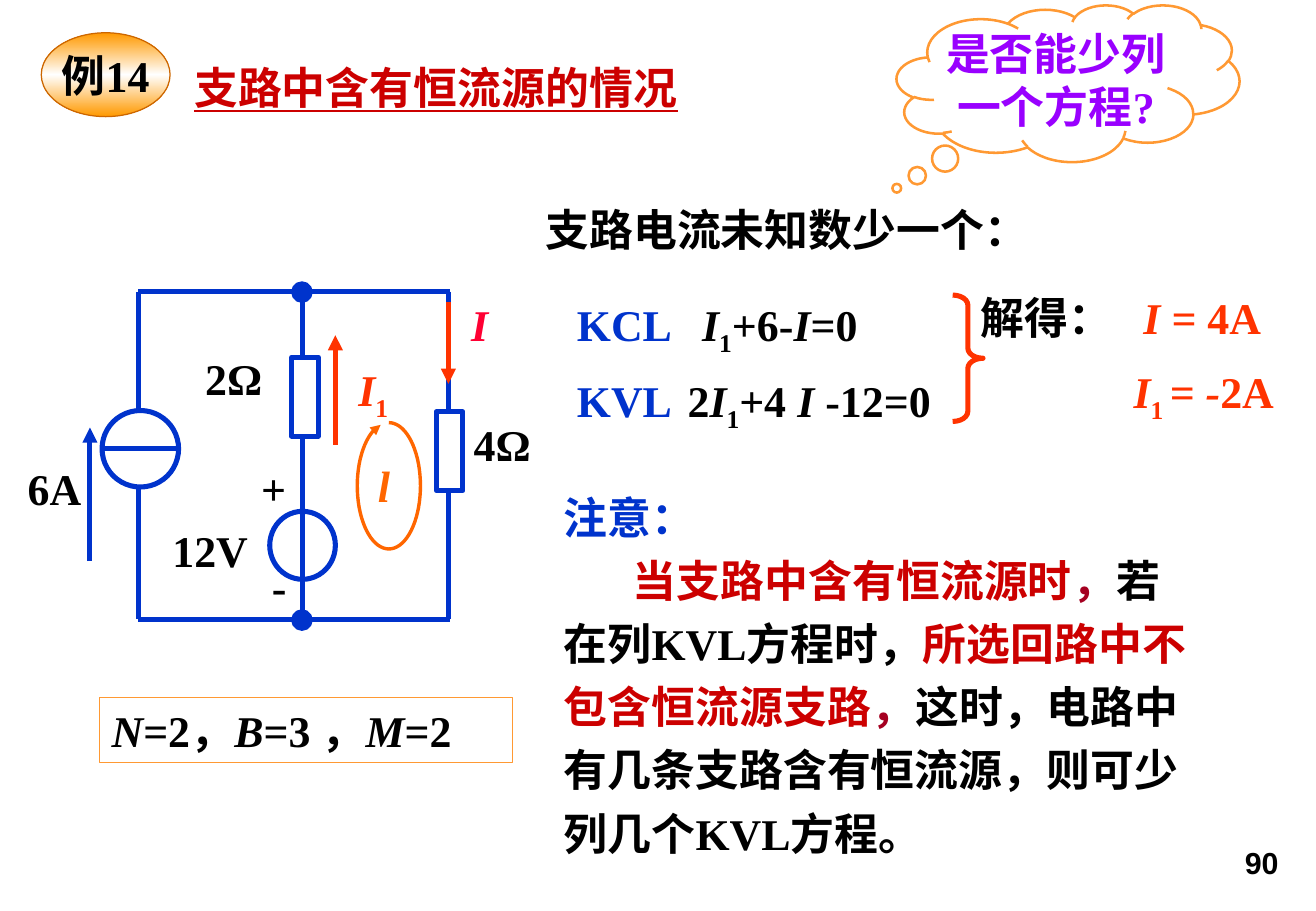
from copy import deepcopy
from math import cos, radians, sin

from lxml import etree
from pptx import Presentation
from pptx.dml.color import RGBColor
from pptx.enum.shapes import MSO_CONNECTOR, MSO_SHAPE
from pptx.enum.text import MSO_ANCHOR, PP_ALIGN
from pptx.oxml.ns import qn
from pptx.util import Inches, Pt

STRAIGHT = MSO_CONNECTOR.STRAIGHT
OVAL, RECT = MSO_SHAPE.OVAL, MSO_SHAPE.RECTANGLE
CLOUD, BRACE = MSO_SHAPE.CLOUD_CALLOUT, MSO_SHAPE.LEFT_BRACE
LEFT, CENTER, RIGHT = PP_ALIGN.LEFT, PP_ALIGN.CENTER, PP_ALIGN.RIGHT
MIDDLE = MSO_ANCHOR.MIDDLE

BLACK = RGBColor(0x00, 0x00, 0x00)
WHITE = RGBColor(0xFF, 0xFF, 0xFF)
BLUE = RGBColor(0x00, 0x33, 0xCC)
RED = RGBColor(0xCC, 0x00, 0x00)
WINE = RGBColor(0xA5, 0x00, 0x21)
ROSE = RGBColor(0xFF, 0x00, 0x33)
VERMILION = RGBColor(0xFF, 0x33, 0x00)
LOOP_ORANGE = RGBColor(0xFF, 0x66, 0x00)
EDGE_ORANGE = RGBColor(0xFF, 0x99, 0x33)
BADGE_ORANGE = RGBColor(0xFF, 0x99, 0x00)
BADGE_EDGE = RGBColor(0xCC, 0x66, 0x00)
PURPLE = RGBColor(0x99, 0x00, 0xFF)


def write(paragraph, runs, color=BLACK, align=LEFT, font="Times New Roman", size=26):
    """Fill a paragraph with (text, style, colour) runs: i is italic, s is subscript."""
    paragraph.alignment = align
    paragraph.font.name, paragraph.font.size = font, Pt(size)
    paragraph.font.bold = True
    paragraph.font.color.rgb = color
    for text, style, run_color in runs:
        run = paragraph.add_run()
        run.text = text
        if "i" in style:
            run.font.italic = True
        if "s" in style:
            run._r.get_or_add_rPr().set("baseline", "-25000")
        if run_color:
            run.font.color.rgb = run_color


def plain(text):
    """Return a single unstyled run."""
    return [(text, "", None)]


def current(name, *rest):
    """Return runs for a current symbol with a subscript one, then the rest."""
    return [(name, "i", None), ("1", "s", None), *rest]


def add_text(slide, x, y, w, h, runs, color=BLACK, **options):
    """Add a one-paragraph text box and return its text frame."""
    frame = slide.shapes.add_textbox(Inches(x), Inches(y), Inches(w), Inches(h)).text_frame
    frame.word_wrap = True
    write(frame.paragraphs[0], runs, color, **options)
    return frame


def style_outline(shape, color, width, fill=None):
    """Give a shape its line and its fill, or no fill."""
    shape.shadow.inherit = False
    shape.line.color.rgb, shape.line.width = color, Pt(width)
    if fill is None:
        shape.fill.background()
    else:
        shape.fill.solid()
        shape.fill.fore_color.rgb = fill


def add_outline(slide, kind, x, y, w, h, color, width, fill=None):
    """Add a preset shape with a line and an optional fill."""
    shape = slide.shapes.add_shape(kind, Inches(x), Inches(y), Inches(w), Inches(h))
    style_outline(shape, color, width, fill)
    return shape


def add_arrowhead(shape):
    """Put a triangle at the end of a line."""
    etree.SubElement(shape.line._get_or_add_ln(), qn("a:tailEnd"), type="triangle")


def add_wire(slide, x1, y1, x2, y2, color=BLUE, arrow=False):
    """Add a straight wire or current arrow."""
    wire = slide.shapes.add_connector(STRAIGHT, Inches(x1), Inches(y1), Inches(x2), Inches(y2))
    wire.line.color.rgb, wire.line.width = color, Pt(3)
    if arrow:
        add_arrowhead(wire)
    etree.SubElement(wire._element.spPr, qn("a:effectLst"))


def add_loop(slide, cx, cy, rx, ry):
    """Draw the clockwise mesh loop, ending in an arrowhead short of its start."""
    points = [(Inches(cx + rx * sin(radians(a))), Inches(cy - ry * cos(radians(a))))
              for a in range(0, 346, 5)]
    builder = slide.shapes.build_freeform(*points[0])
    builder.add_line_segments(points[1:], close=False)
    loop = builder.convert_to_shape()
    style_outline(loop, LOOP_ORANGE, 2)
    add_arrowhead(loop)


def add_heading(slide, x, y):
    """Place the example badge and the underlined title."""
    badge = add_outline(slide, OVAL, x, y, 1.06, 0.69, BADGE_EDGE, 0.75)
    badge.fill.gradient()
    badge.fill.gradient_angle = 90
    for stop in badge.fill.gradient_stops:
        stop.color.rgb = BADGE_ORANGE
    stops = badge._element.spPr.find(".//" + qn("a:gsLst"))
    middle = deepcopy(stops[0])
    middle.set("pos", "50000")
    stops.insert(1, middle)
    badge.fill.gradient_stops[1].color.rgb = WHITE
    badge.text_frame.word_wrap, badge.text_frame.vertical_anchor = False, MIDDLE
    write(badge.text_frame.paragraphs[0], plain("例14"), align=CENTER)
    title = add_text(slide, x + 1.16, y - 0.04, 4.4, 0.67, plain("支路中含有恒流源的情况"), RED)
    title.paragraphs[0].line_spacing = 1.5
    title.paragraphs[0].font.underline = True


def add_question(slide, x, y):
    """Place the thought cloud with its question."""
    cloud = add_outline(slide, CLOUD, x, y, 2.82, 1.29, EDGE_ORANGE, 1.5)
    cloud.adjustments[0], cloud.adjustments[1] = -0.5, 0.67
    frame = cloud.text_frame
    frame.word_wrap, frame.vertical_anchor = False, MIDDLE
    write(frame.paragraphs[0], plain("是否能少列"), PURPLE, CENTER)
    write(frame.add_paragraph(), plain("一个方程?"), PURPLE, CENTER)


def add_circuit(slide, x, y):
    """Draw the circuit with its upper left corner at the given point."""
    middle, right, bottom = x + 1.35, x + 2.55, y + 2.7
    add_outline(slide, OVAL, middle - 0.27, y + 1.81, 0.54, 0.56, BLUE, 3, WHITE)
    for wire_x in (x, middle, right):
        add_wire(slide, wire_x, y, wire_x, bottom)
    for wire_y in (y, bottom):
        add_wire(slide, x, wire_y, right + 0.01, wire_y)
        add_outline(slide, OVAL, middle - 0.08, wire_y - 0.07, 0.15, 0.15, BLUE, 2, BLUE)
    for resistor_x, resistor_y in ((middle - 0.09, y + 0.54), (right - 0.1, y + 0.99)):
        add_outline(slide, RECT, resistor_x, resistor_y, 0.22, 0.65, BLUE, 3, WHITE)
    add_outline(slide, OVAL, x - 0.3, y + 0.98, 0.63, 0.63, BLUE, 3, WHITE)
    add_wire(slide, x - 0.3, y + 1.29, x + 0.33, y + 1.29)
    add_wire(slide, x - 0.4, y + 2.22, x - 0.4, y + 1.12, arrow=True)
    add_wire(slide, right, y + 0.09, right, y + 0.76, VERMILION, True)
    add_wire(slide, x + 1.62, y + 1.26, x + 1.62, y + 0.36, VERMILION, True)
    add_loop(slide, x + 2.06, y + 1.6, 0.26, 0.52)
    labels = [("6A", -1.01, 1.35, 0.66), ("12V", 0.18, 1.86, 0.85), ("+", 0.91, 1.35, 0.45),
              ("-", 1.0, 2.16, 0.36), ("2Ω", 0.45, 0.45, 0.9), ("4Ω", 2.66, 0.99, 0.9)]
    for label, dx, dy, width in labels:
        add_text(slide, x + dx, y + dy, width, 0.54, plain(label))
    add_text(slide, x + 2.64, y, 0.36, 0.54, [("I", "i", None)], ROSE)
    add_text(slide, x + 1.71, y + 0.54, 0.81, 0.54, current("I"), VERMILION)
    add_text(slide, x + 1.86, y + 1.33, 0.32, 0.55, [("l", "i", None)], LOOP_ORANGE, align=CENTER)


def add_counts(slide, x, y):
    """Place the framed node, branch and mesh counts on one line."""
    counts = add_outline(slide, RECT, x, y, 3.4, 0.54, EDGE_ORANGE, 0.75)
    counts.text_frame.word_wrap = True
    counts.text_frame.vertical_anchor = MIDDLE
    write(counts.text_frame.paragraphs[0],
          [("N", "i", None), ("=2，", "", None), ("B", "i", None), ("=3 ，", "", None),
           ("M", "i", None), ("=2", "", None)])


def add_equations(slide, x, y):
    """Place the lead-in, both laws, the brace and the solution."""
    lead = add_text(slide, x, y, 4.23, 0.67, plain("支路电流未知数少一个："))
    lead.paragraphs[0].line_spacing = 1.5
    kcl = current("I", ("+6-", "", None), ("I", "i", None), ("=0", "", None))
    kvl = [("2", "", None)] + current("I", ("+4 ", "", None), ("I", "i", None), (" -12=0", "", None))
    for law, equation, dx, dy in (("KCL", kcl, 1.29, 1.0), ("KVL", kvl, 1.17, 1.63)):
        add_text(slide, x + 0.26, y + dy, 1.17, 0.54, plain(law), BLUE)
        add_text(slide, x + dx, y + dy, 3.25, 0.54, equation)
    brace = add_outline(slide, BRACE, x + 3.45, y + 1.03, 0.25, 1.04, VERMILION, 3)
    brace.adjustments[0], brace.adjustments[1] = 0.33, 0.5
    brace._element.spPr.xfrm.set("flipH", "1")
    frame = slide.shapes.add_textbox(
        Inches(x + 3.58), Inches(y + 0.94), Inches(2.85), Inches(1.19)).text_frame
    frame.word_wrap = True
    first, second = frame.paragraphs[0], frame.add_paragraph()
    tabs = etree.SubElement(first._p.get_or_add_pPr(), qn("a:tabLst"))
    etree.SubElement(tabs, qn("a:tab"), pos=str(Inches(1.34)), algn="l")
    write(first, [("解得：\t", "", BLACK), ("I = ", "i", None), ("4A", "", None)], VERMILION)
    second._p.get_or_add_pPr().set("marL", str(Inches(1.26)))
    second.space_before = Pt(13)
    write(second, [("I", "i", None), ("1 ", "s", None), ("= -", "i", None), ("2A", "", None)],
          VERMILION)


def add_note(slide, x, y):
    """Place the remark about branches with a constant current source."""
    frame = add_text(slide, x, y, 5.42, 3.11, plain("注意："), BLUE)
    remark = frame.add_paragraph()
    remark._p.get_or_add_pPr().set("indent", str(Inches(0.57)))
    remark.line_spacing = 1.2
    write(remark, [("当支路中含有恒流源时", "", RED), ("，", "", WINE),
                   ("若在列KVL方程时，", "", None), ("所选回路中不包含恒流源支路", "", RED),
                   ("，", "", WINE),
                   ("这时，电路中有几条支路含有恒流源，则可少列几个KVL方程。", "", None)])


def main():
    """Build the slide and save it."""
    deck = Presentation()
    deck.slide_width, deck.slide_height = Inches(10.83), Inches(7.5)
    slide = deck.slides.add_slide(deck.slide_layouts[6])
    add_text(slide, 7.63, 6.9, 2.99, 0.4, plain("90"), align=RIGHT, font="Arial", size=18)
    add_question(slide, 7.38, 0.04)
    add_heading(slide, 0.34, 0.27)
    add_circuit(slide, 1.14, 2.4)
    add_counts(slide, 0.82, 5.74)
    add_equations(slide, 4.39, 1.4)
    add_note(slide, 4.54, 3.99)
    deck.save("out.pptx")


if __name__ == "__main__":
    main()
